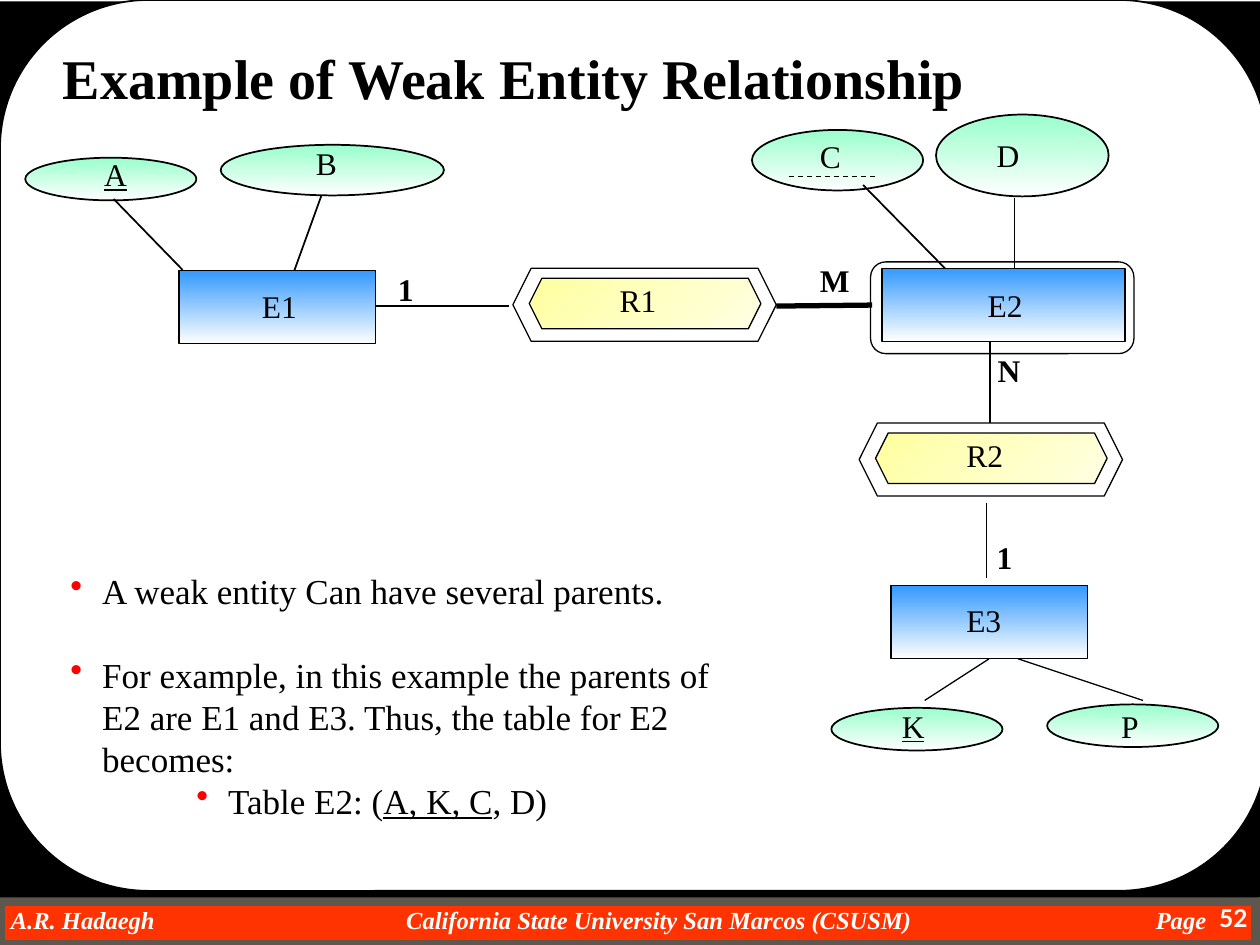
"""Build the weak entity relationship slide."""
import pptx
import pptx.dml.color
import pptx.enum.dml
import pptx.enum.shapes
import pptx.enum.text
import pptx.oxml.ns
import pptx.util
from lxml import etree

Cm, Pt = pptx.util.Cm, pptx.util.Pt
SHAPE = pptx.enum.shapes.MSO_SHAPE
ALIGN = pptx.enum.text.PP_ALIGN
SERIF = "Times New Roman"

COLORS = {
    "black": "000000", "white": "FFFFFF", "footer": "FF3300", "border": "5E574E",
    "blue": "3399FF", "green": "99FFCC", "yellow": "FFFFA0", "cream": "FFFFE3",
    "bullet": "FF0000",
}
ENTITY = ("blue", "white", 270)
ATTRIBUTE = ("green", "white", 270)
RELATIONSHIP = ("yellow", "cream", 315)

ATTRIBUTES = [
    (15.16, 2.62, 3.45, 1.22), (18.87, 2.31, 3.48, 1.65), (4.45, 2.92, 4.5, 1.02),
    (0.51, 3.18, 3.45, 0.86), (16.76, 14.27, 3.45, 0.86), (21.11, 14.2, 3.45, 0.86),
]
ENTITIES = [(3.61, 5.46, 3.96, 1.47), (17.96, 11.81, 3.96, 1.47), (17.78, 5.41, 4.9, 1.47)]
WEAK_ENTITY_FRAME = (17.55, 5.28, 5.31, 1.85)
RELATIONSHIPS = [(10.34, 5.41), (17.32, 8.53)]
LINKS = [
    (17.4, 3.73, 19.05, 5.41, 1), (20.45, 3.99, 20.45, 5.41, 1),
    (6.48, 3.94, 5.92, 5.49, 1), (3.68, 5.44, 2.29, 4.01, 1),
    (17.58, 6.15, 15.65, 6.17, 3), (7.57, 6.17, 10.26, 6.17, 0.75),
    (19.96, 6.83, 19.96, 8.53, 0.75), (19.89, 10.13, 19.89, 11.66, 0.75),
    (19.94, 13.28, 18.64, 14.12, 0.75), (20.52, 13.28, 23.04, 14.12, 0.75),
]
PARTIAL_KEY = (15.9, 3.56, 17.68, 3.56, 0.75)
NAMES = [
    ("E1", 5.03, 5.66), ("D", 19.84, 2.62), ("C", 16.28, 2.64), ("B", 6.12, 2.77),
    ("P", 22.35, 14.12), ("E3", 19.23, 11.99), ("R1", 12.24, 5.54),
    ("R2", 19.23, 8.66), ("E2", 19.66, 5.64),
]
KEYS = [("A", 1.85, 3), ("K", 17.93, 14.12)]
CARDINALITIES = [("1", 7.77, 5.31), ("M", 16.28, 5.13), ("N", 19.86, 6.96), ("1", 19.84, 10.72)]
NOTES = [
    ([("A weak entity Can have several parents.", False)], 0, 0.64, 0),
    ([("For example, in this example the parents of E2 are E1 and E3. "
       "Thus, the table for E2 becomes:", False)], 0, 0.64, 24),
    ([("Table E2: (", False), ("A, K, C", True), (", D)", False)], 2, 3.18, 0),
]
FOOTER = ["A.R. Hadaegh", "California State University San Marcos (CSUSM)", "Page"]
FOOTER_TABS = [7.97, 23.08]


def rgb(name):
    return pptx.dml.color.RGBColor.from_string(COLORS[name])


def add_figure(slide, kind, box, fill=None, line="black", width=0.75):
    shape = slide.shapes.add_shape(kind, *map(Cm, box))
    shape.shadow.inherit = False
    if fill is None:
        shape.fill.background()
    elif isinstance(fill, tuple):
        shape.fill.gradient()
        for stop, color in zip(shape.fill.gradient_stops, fill):
            stop.color.rgb = rgb(color)
        shape.fill.gradient_angle = fill[2]
    else:
        shape.fill.solid()
        shape.fill.fore_color.rgb = rgb(fill)
    if line:
        shape.line.color.rgb = rgb(line)
        shape.line.width = Pt(width)
    else:
        shape.line.fill.background()


def add_link(slide, x1, y1, x2, y2, width):
    connector = slide.shapes.add_connector(
        pptx.enum.shapes.MSO_CONNECTOR.STRAIGHT, Cm(x1), Cm(y1), Cm(x2), Cm(y2))
    connector.line.color.rgb = rgb("black")
    connector.line.width = Pt(width)
    properties = connector._element.spPr
    etree.SubElement(properties, pptx.oxml.ns.qn("a:effectLst"))
    return connector


def style(paragraph, size, color="black", name=SERIF, bold=False, italic=False):
    font = paragraph.font
    font.size, font.name, font.bold, font.italic = Pt(size), name, bold, italic
    font.color.rgb = rgb(color)


def add_text(slide, box, text, size, wrap=True, underline=False, **look):
    frame = slide.shapes.add_textbox(*map(Cm, box)).text_frame
    frame.word_wrap = wrap
    paragraph = frame.paragraphs[0]
    run = paragraph.add_run()
    run.text = text
    if underline:
        run.font.underline = True
    style(paragraph, size, **look)
    return frame


def add_background(slide):
    add_figure(slide, SHAPE.RECTANGLE, (0, 18.16, 25.32, 0.89), "footer", "border", 6)
    add_figure(slide, SHAPE.RECTANGLE, (0, 0.03, 25.4, 18.06), "black", None)
    add_figure(slide, SHAPE.ROUNDED_RECTANGLE, (0, 0, 25.55, 17.96), "white", "black", 1)


def add_footer(slide):
    frame = slide.shapes.add_textbox(Cm(0), Cm(18.24), Cm(24.59), Cm(0.58)).text_frame
    frame.word_wrap = True
    frame.margin_left = Cm(0.22)
    frame.margin_right = frame.margin_top = frame.margin_bottom = 0
    paragraph = frame.paragraphs[0]
    paragraph.add_run().text = "\t".join(FOOTER)
    tabs = etree.SubElement(paragraph._p.get_or_add_pPr(), pptx.oxml.ns.qn("a:tabLst"))
    for position in FOOTER_TABS:
        etree.SubElement(tabs, pptx.oxml.ns.qn("a:tab"), pos=str(Cm(position)), algn="l")
    style(paragraph, 14, "white", bold=True, italic=True)
    number = add_text(slide, (23.5, 18.08, 1.9, 0.97), "52", 14,
                      color="white", name="Lato", bold=True)
    number.paragraphs[0].alignment = ALIGN.RIGHT


def add_diagram(slide):
    for box in ATTRIBUTES:
        add_figure(slide, SHAPE.OVAL, box, ATTRIBUTE, width=1)
    for link in LINKS:
        add_link(slide, *link)
    add_link(slide, *PARTIAL_KEY).line.dash_style = pptx.enum.dml.MSO_LINE.DASH
    add_figure(slide, SHAPE.ROUNDED_RECTANGLE, WEAK_ENTITY_FRAME)
    for box in ENTITIES:
        add_figure(slide, SHAPE.RECTANGLE, box, ENTITY)
    for left, top in RELATIONSHIPS:
        add_figure(slide, SHAPE.HEXAGON, (left, top, 5.31, 1.47))
        add_figure(slide, SHAPE.HEXAGON, (left + 0.33, top + 0.2, 4.67, 1.02), RELATIONSHIP)
    for labels, look in ((NAMES, {}), (KEYS, {"underline": True}), (CARDINALITIES, {"bold": True})):
        for text, left, top in labels:
            add_text(slide, (left, top, 1.4, 1.02), text, 18, **look)


def add_notes(slide):
    frame = slide.shapes.add_textbox(Cm(1.17), Cm(11.35), Cm(14.25), Cm(6.22)).text_frame
    frame.word_wrap = True
    for index, (runs, level, indent, gap) in enumerate(NOTES):
        paragraph = frame.add_paragraph() if index else frame.paragraphs[0]
        paragraph.level = level
        paragraph.line_spacing = Pt(24)
        paragraph.space_before = Pt(gap)
        properties = paragraph._p.get_or_add_pPr()
        properties.set("marL", str(Cm(indent)))
        properties.set("indent", str(-Cm(0.64)))
        color = etree.SubElement(properties, pptx.oxml.ns.qn("a:buClr"))
        etree.SubElement(color, pptx.oxml.ns.qn("a:srgbClr"), val=COLORS["bullet"])
        etree.SubElement(properties, pptx.oxml.ns.qn("a:buChar"), char="•")
        for text, underline in runs:
            run = paragraph.add_run()
            run.text = text
            if underline:
                run.font.underline = True
        style(paragraph, 20)


def main():
    presentation = pptx.Presentation()
    presentation.slide_width, presentation.slide_height = Cm(25.4), Cm(19.05)
    slide = presentation.slides.add_slide(presentation.slide_layouts[6])
    add_background(slide)
    add_footer(slide)
    add_text(slide, (1.02, 0.76, 18.75, 1.6), "Example of Weak Entity Relationship", 32,
             wrap=False, bold=True)
    add_diagram(slide)
    add_notes(slide)
    presentation.save("out.pptx")


if __name__ == "__main__":
    main()
